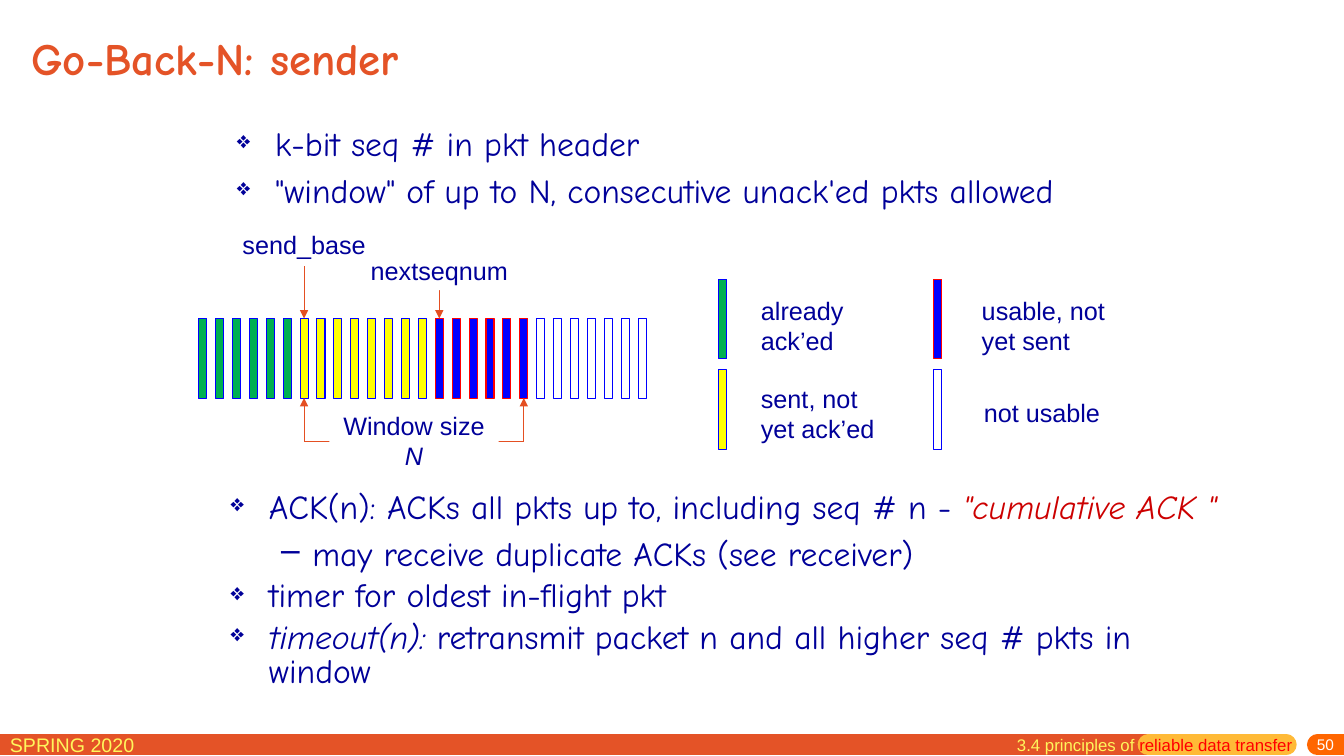
import pptx
import pptx.util
import pptx.dml.color
import pptx.enum.shapes
import pptx.enum.text
from lxml import etree

Inches, Pt = pptx.util.Inches, pptx.util.Pt
Shapes = pptx.enum.shapes.MSO_SHAPE
Align = pptx.enum.text.PP_ALIGN
Anchor = pptx.enum.text.MSO_ANCHOR
A = "http://schemas.openxmlformats.org/drawingml/2006/main"

WIDTH, HEIGHT = Inches(13.333), Inches(7.5)
# All boxes are (left, top, width, height) in percent of the slide's size.
COL, ROW = WIDTH / 100, HEIGHT / 100

NAVY, ORANGE, AMBER, LEMON = "000099", "E45327", "FFBA37", "FFF65C"
ARROW, WHITE, RED, BLUE = "E44F22", "FFFFFF", "FF0000", "0000FF"
LABEL = {"name": "Arial", "size": Pt(18), "color": NAVY}
POINT = {"name": "Comic Neue", "size": Pt(24), "color": NAVY}
LABEL_HEIGHT, TWO_LINES = 5.33, 9.47

# Packet states: (fill, line, number of packets in the window drawing)
ACKED, SENT = ("00B050", BLUE, 6), ("FFFF00", BLUE, 8)
USABLE, UNUSABLE = (BLUE, RED, 6), (WHITE, BLUE, 7)
PACKET_WIDTH, PACKET_HEIGHT = 0.6, 10.53


def rgb(value):
    return pptx.dml.color.RGBColor.from_string(value)


def emu(box):
    return [round(share * unit) for share, unit in zip(box, (COL, ROW, COL, ROW))]


def style(font, values):
    for key, value in values.items():
        if key == "color":
            font.color.rgb = rgb(value)
        else:
            setattr(font, key, value)


def write(paragraph, runs, base):
    """Add runs given as (text, differences from the base format)."""
    for words, changes in runs:
        run = paragraph.add_run()
        run.text = words
        style(run.font, {**base, **changes})


def text_box(slide, box, paragraphs, base, align=Align.LEFT, fill=None, **frame):
    area = slide.shapes.add_textbox(*emu(box))
    if fill:
        area.fill.solid()
        area.fill.fore_color.rgb = rgb(fill)
    for key, value in {"word_wrap": True, **frame}.items():
        setattr(area.text_frame, key, value)
    for index, runs in enumerate(paragraphs):
        frame_text = area.text_frame
        paragraph = frame_text.add_paragraph() if index else frame_text.paragraphs[0]
        paragraph.alignment = align
        write(paragraph, runs, base)
    return area.text_frame


def line(slide, start, end, color, width=0.75, arrow=False, cap="flat"):
    connector = slide.shapes.add_connector(
        pptx.enum.shapes.MSO_CONNECTOR.STRAIGHT, *emu(start), *emu(end))
    connector.line.color.rgb = rgb(color)
    connector.line.width = Pt(width)
    stroke = connector.line._get_or_add_ln()
    stroke.set("cap", cap)
    if arrow:
        etree.SubElement(stroke, f"{{{A}}}tailEnd", type="triangle")
    etree.SubElement(connector._element.spPr, f"{{{A}}}effectLst")


def packet(shapes, left, top, state):
    fill, outline, _ = state
    bar = shapes.add_shape(Shapes.RECTANGLE, *emu((left, top, PACKET_WIDTH, PACKET_HEIGHT)))
    bar.shadow.inherit = False
    bar.fill.solid()
    bar.fill.fore_color.rgb = rgb(fill)
    bar.line.color.rgb = rgb(outline)
    bar.line.width = Pt(0.75)


def title(slide, box, words):
    heading = slide.shapes.title
    for key, value in zip(("left", "top", "width", "height"), emu(box)):
        setattr(heading, key, value)
    heading.text_frame.vertical_anchor = Anchor.MIDDLE
    paragraph = heading.text_frame.paragraphs[0]
    paragraph.alignment = Align.LEFT
    write(paragraph, [(words, {})],
          {"name": "Comic Neue", "size": Pt(32), "bold": True, "color": ORANGE})


def bullet_list(slide, box, points):
    """Draw points given as (level, line spacing, runs)."""
    frame = text_box(slide, box, [runs for _, _, runs in points], POINT)
    for index, (paragraph, (level, spacing, _)) in enumerate(zip(frame.paragraphs, points)):
        margin, hang, sign, size = [(0.38, 0.38, "❖", 70), (0.81, 0.31, "–", 100)][level]
        properties = paragraph._p.get_or_add_pPr()
        properties.set("marL", str(Inches(margin)))
        properties.set("indent", str(-Inches(hang)))
        etree.SubElement(properties, f"{{{A}}}buSzPct", val=str(size * 1000))
        etree.SubElement(properties, f"{{{A}}}buChar", char=sign)
        paragraph.level = level
        paragraph.line_spacing = spacing
        paragraph.space_before = Pt(5 if index else 0)


def sender_window(slide, box):
    """Draw the packet row with its two pointers and the window bracket."""
    left, top, width, height = box
    bottom = top + height
    states = [ACKED, SENT, USABLE, UNUSABLE]
    pitch = (width - PACKET_WIDTH) / (sum(count for *_, count in states) - 1)

    def center(index):
        return left + index * pitch + PACKET_WIDTH / 2

    first = 0
    for state in states:
        group = slide.shapes.add_group_shape()
        for index in range(first, first + state[2]):
            packet(group.shapes, left + index * pitch, top, state)
        first += state[2]

    base = center(ACKED[2])
    following = center(ACKED[2] + SENT[2])
    last = center(ACKED[2] + SENT[2] + USABLE[2] - 1)
    bracket = bottom + 5.73
    line(slide, (base, bracket), (last, bracket), ARROW)
    for edge in (base, last):
        line(slide, (edge, bracket), (edge, bottom), ARROW, arrow=True)
    for target in (base, following):
        line(slide, (target, top - 6.93), (target, top), ARROW, arrow=True)

    captions = [
        ((base + last) / 2, bottom + 0.93, 12.6, TWO_LINES, WHITE,
         [[("Window size", {})], [("N", {"italic": True})]]),
        (following, top - 9.07, 12.23, LABEL_HEIGHT, WHITE, [[("nextseqnum", {})]]),
        (base, top - 12.4, 11.33, LABEL_HEIGHT, None, [[("send_base", {})]]),
    ]
    for middle, y, span, rise, fill, words in captions:
        text_box(slide, (middle - span / 2, y, span, rise), words, LABEL, Align.CENTER, fill)


def legend(slide, box):
    """Draw the four packet states in two columns and two rows."""
    left, top, width, height = box
    entries = [
        (0, 0, ACKED, ["already", "ack’ed"], (2.4, 1.47, 10.2, TWO_LINES)),
        (0, 1, SENT, ["sent, not yet ack’ed"], (2.4, 1.07, 10.2, TWO_LINES)),
        (1, 0, USABLE, ["usable, not yet sent"], (2.85, 1.47, 11.33, TWO_LINES)),
        (1, 1, UNUSABLE, ["not usable"], (3, 2.93, 11.33, LABEL_HEIGHT)),
    ]
    for column, row, state, words, (dx, dy, span, rise) in entries:
        x, y = left + column * width / 2, top + row * height / 2
        packet(slide.shapes, x, y, state)
        text_box(slide, (x + dx, y + dy, span, rise), [[(part, {})] for part in words], LABEL)


def footer(slide, box):
    left, top, width, height = box
    middle = top + height / 2
    for start, end, color, cap in [(0, 85.43, ORANGE, "flat"), (85.43, 95.7, AMBER, "rnd"),
                                   (98.03, 100, "FF6600", "rnd")]:
        line(slide, (left + start, middle), (left + end, middle), color, 15, cap=cap)
    small = {"name": "Arial", "size": Pt(12), "color": LEMON}
    text_box(slide, (left, top - 0.87, 17.18, 4.13),
             [[("SPRING 2020", {"size": Pt(14)})]], small)
    text_box(slide, (left + width - 19.4, top + 0.46, 19.4, 2.4),
             [[("50", {"size": Pt(11), "color": WHITE})]], small, Align.RIGHT,
             vertical_anchor=Anchor.MIDDLE, margin_top=0)
    text_box(slide, (left + 74.93, top - 0.61, 22.58, 4.13),
             [[("3.4 principles of ", {}), ("reliable data transfer", {"color": RED})]], small)


def main():
    deck = pptx.Presentation()
    deck.slide_width, deck.slide_height = WIDTH, HEIGHT
    slide = deck.slides.add_slide(deck.slide_layouts[5])
    footer(slide, (0, 97.14, 100, 2.78))
    title(slide, (1.58, 0.67, 63.75, 13.87), "Go-Back-N: sender")
    bullet_list(slide, (16.88, 15.6, 77.4, 18.67), [
        (0, 1.0, [("k-bit seq # in pkt header", {})]),
        (0, 1.0, [('"window" of up to N, consecutive unack\'ed pkts allowed', {})]),
    ])
    sender_window(slide, (14.78, 42.13, 33.3, PACKET_HEIGHT))
    legend(slide, (53.48, 36.93, 31.96, 24))
    bullet_list(slide, (16.43, 63.6, 74.93, 32.5), [
        (0, 1.0, [("ACK(n): ACKs all pkts up to, including seq # n - ", {}),
                  ('"cumulative ACK "', {"color": "CC0000", "italic": True})]),
        (1, 1.0, [("may receive duplicate ACKs (see receiver)", {})]),
        (0, 0.85, [("timer for oldest in-flight pkt", {})]),
        (0, 0.85, [("timeout(n):", {"italic": True}),
                   (" retransmit packet n and all higher seq # pkts in window", {})]),
    ])
    deck.save("out.pptx")


if __name__ == "__main__":
    main()
